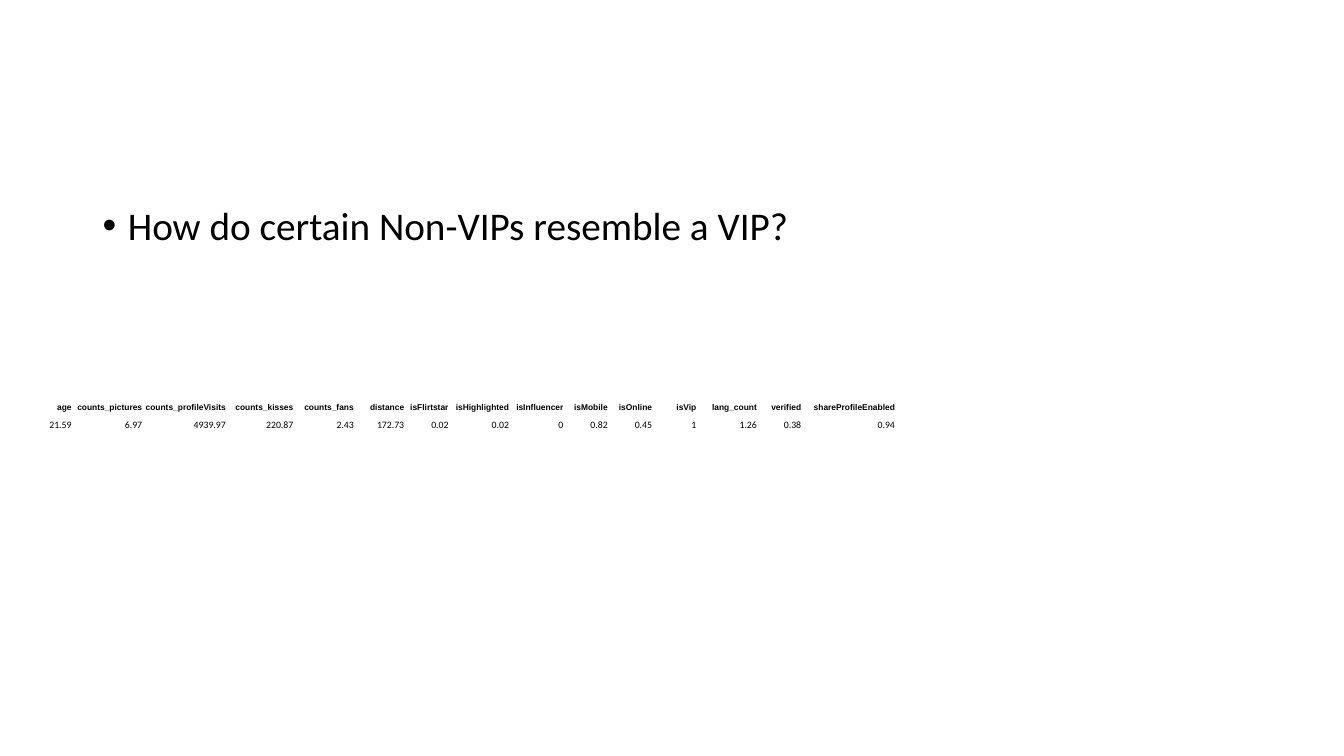
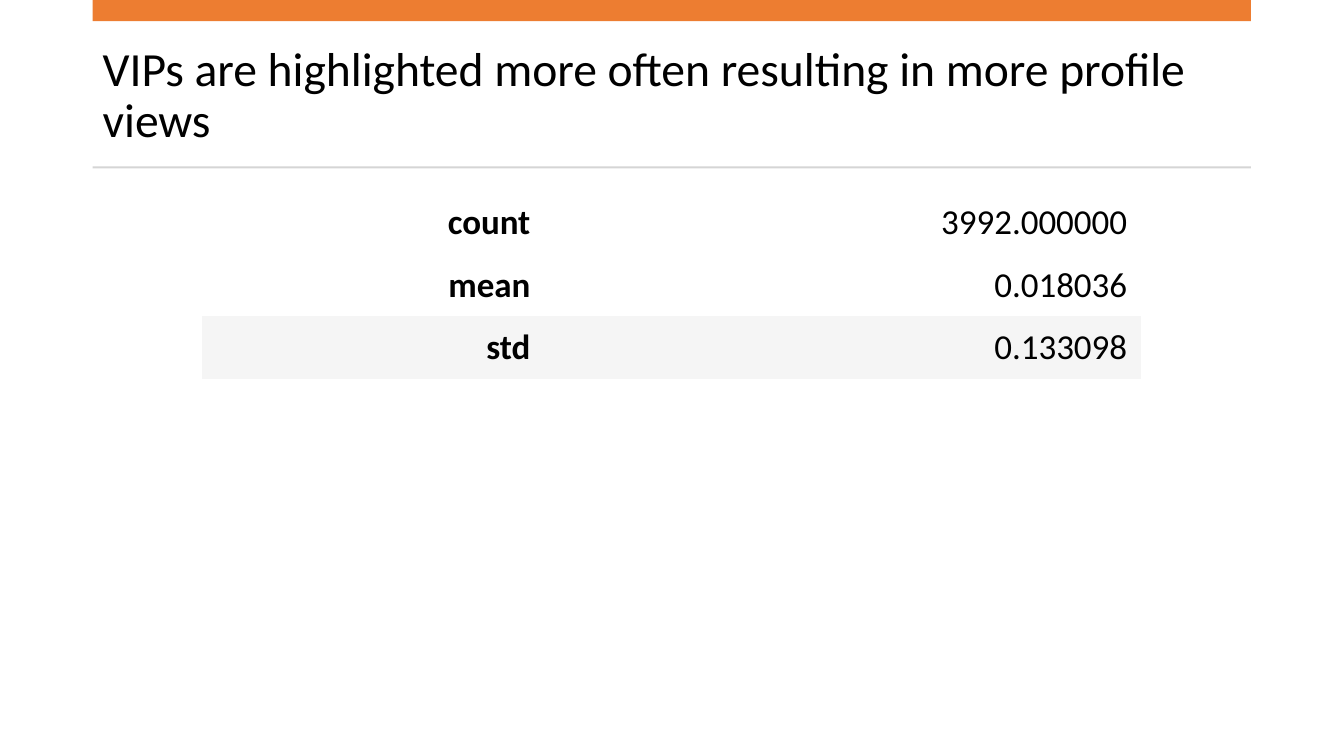
from lxml import etree
from pptx import Presentation
from pptx.dml.color import RGBColor
from pptx.enum import shapes, text
from pptx.oxml import ns
from pptx.util import Pt

BLACK = RGBColor(0x00, 0x00, 0x00)
WHITE = RGBColor(0xFF, 0xFF, 0xFF)
ORANGE = RGBColor(0xED, 0x7D, 0x31)
RULE_GREY = RGBColor(0xD5, 0xD5, 0xD5)
ROW_GREY = RGBColor(0xF5, 0xF5, 0xF5)
BODY_FONT = "Calibri"
HEADER_FONT = "Arial"
NO_STYLE = "{2D5ABB26-0587-4C30-8999-92F81FD0307C}"
LEFT, WIDTH = 66.24, 827.28

presentation = Presentation()
presentation.slide_width, presentation.slide_height = Pt(960), Pt(540)
blank_layout = presentation.slide_layouts[6]


def add_text(slide, top, height, content, size, anchor):
    """Add a text box across the content width and return its paragraph."""
    shape = slide.shapes.add_textbox(Pt(LEFT), Pt(top), Pt(WIDTH), Pt(height))
    frame = shape.text_frame
    frame.word_wrap = True
    frame.vertical_anchor = anchor
    frame.text = content
    paragraph = frame.paragraphs[0]
    paragraph.line_spacing = 0.9
    font = paragraph.runs[0].font
    font.name, font.size, font.color.rgb = BODY_FONT, Pt(size), BLACK
    return paragraph


def add_table(slide, left, top, widths, heights, rows, margins, style):
    """Add a right-aligned table; style(row, column) gives font, size, bold, anchor, fill."""
    frame = slide.shapes.add_table(len(rows), len(widths), Pt(left), Pt(top),
                                   Pt(sum(widths)), Pt(sum(heights)))
    table = frame.table
    table.first_row = table.horz_banding = False
    next(frame.element.iter(ns.qn("a:tableStyleId"))).text = NO_STYLE
    for column, width in zip(table.columns, widths):
        column.width = Pt(width)
    for r, (height, values) in enumerate(zip(heights, rows)):
        table.rows[r].height = Pt(height)
        for c, value in enumerate(values):
            name, size, bold, anchor, fill = style(r, c)
            cell = table.cell(r, c)
            cell.margin_left = cell.margin_right = Pt(margins[0])
            cell.margin_top = cell.margin_bottom = Pt(margins[1])
            cell.vertical_anchor = anchor
            cell.fill.solid()
            cell.fill.fore_color.rgb = fill
            cell.text = value
            paragraph = cell.text_frame.paragraphs[0]
            paragraph.alignment = text.PP_ALIGN.RIGHT
            font = paragraph.runs[0].font
            font.name, font.size, font.bold = name, Pt(size), bold
            font.color.rgb = BLACK


# Slide 1: question with one bullet
slide = presentation.slides.add_slide(blank_layout)
question = add_text(slide, 144, 342.72, "How do certain Non-VIPs resemble a VIP?",
                    28, text.MSO_ANCHOR.TOP)
question.space_before = Pt(10)
properties = question._p.get_or_add_pPr()
properties.set("marL", str(Pt(18)))
properties.set("indent", str(Pt(-18)))
etree.SubElement(properties, ns.qn("a:buFont"), typeface=HEADER_FONT)
etree.SubElement(properties, ns.qn("a:buChar"), char="•")

# Slide 1: average VIP profile (name, value, column width)
profile = [
    ("age", "21.59", 32.4), ("counts_pictures", "6.97", 50.4),
    ("counts_profileVisits", "4939.97", 59.76), ("counts_kisses", "220.87", 48.24),
    ("counts_fans", "2.43", 43.2), ("distance", "172.73", 36),
    ("isFlirtstar", "0.02", 31.68), ("isHighlighted", "0.02", 43.2),
    ("isInfluencer", "0", 38.88), ("isMobile", "0.82", 31.68),
    ("isOnline", "0.45", 31.68), ("isVip", "1", 31.68),
    ("lang_count", "1.26", 43.2), ("verified", "0.38", 31.68),
    ("shareProfileEnabled", "0.94", 66.96),
]
names, averages, widths = zip(*profile)
profile_styles = [
    (HEADER_FONT, 6, True, text.MSO_ANCHOR.MIDDLE, WHITE),
    (BODY_FONT, 7, False, text.MSO_ANCHOR.BOTTOM, WHITE),
]
add_table(slide, 18.72, 282.96, widths, [16.56, 8.64], [names, averages], (0, 0),
          lambda r, c: profile_styles[r])

# Slide 2: title, top band and rule
slide = presentation.slides.add_slide(blank_layout)
add_text(slide, 26.64, 84.96,
         "VIPs are highlighted more often resulting in more profile views",
         34, text.MSO_ANCHOR.MIDDLE)
for top, height, color in [(0, 15.12, ORANGE), (118.8, 1.44, RULE_GREY)]:
    band = slide.shapes.add_shape(shapes.MSO_SHAPE.RECTANGLE,
                                  Pt(LEFT), Pt(top), Pt(WIDTH), Pt(height))
    band.shadow.inherit = False
    band.fill.solid()
    band.fill.fore_color.rgb = color
    band.line.fill.background()

# Slide 2: summary statistics
statistics = [("count", "3992.000000"), ("mean", "0.018036"), ("std", "0.133098")]
row_fills = [WHITE, WHITE, ROW_GREY]
add_table(slide, 144, 136.8, [244.8, 426.24], [44.64] * 3, statistics, (10, 5),
          lambda r, c: (BODY_FONT, 25, c == 0, text.MSO_ANCHOR.MIDDLE, row_fills[r]))

presentation.save("out.pptx")
